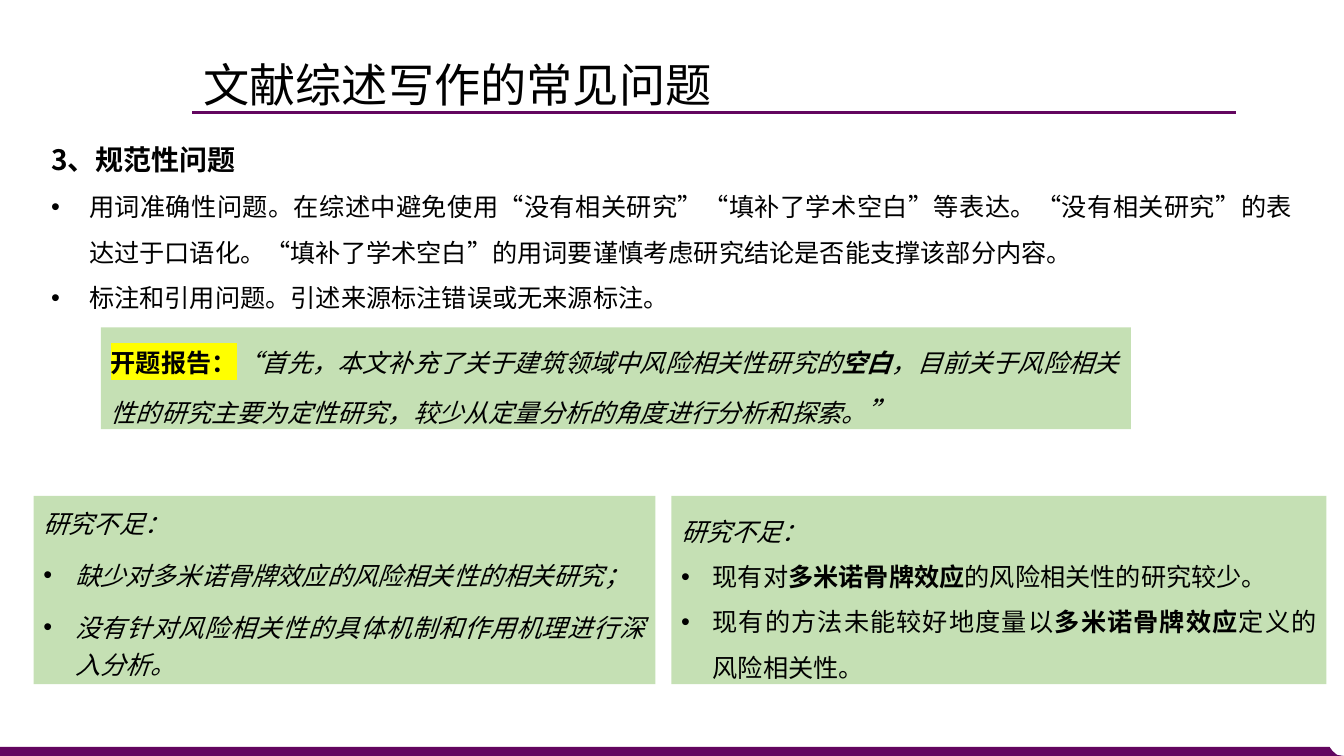
"""Build a slide on common problems in literature review writing."""
import pptx
import pptx.util
import pptx.dml.color
import pptx.enum.dml
import pptx.enum.lang
import pptx.enum.shapes
import pptx.enum.text
from lxml import etree
from pptx.oxml.ns import qn

Pt = pptx.util.Pt
COLOURS = {"purple": "63065F", "green": "C5E0B4", "black": "000000", "yellow": "FFFF00"}
FONT = "Noto Sans CJK SC"
PLAIN = {}
BOLD = {"bold": True}
ITALIC = {"italic": True}
BOLD_ITALIC = {"bold": True, "italic": True}


def colour(name):
    return pptx.dml.color.RGBColor.from_string(COLOURS[name])


def apply_formats(target, formats):
    for name, value in formats.items():
        setattr(target, name, value)


def add_span(para, text, formats, size, highlight=None):
    span = para.add_run()
    span.text = text
    span.font.color.rgb = colour("black")
    properties = span.font._element
    if highlight:
        mark = etree.SubElement(properties, qn("a:highlight"))
        etree.SubElement(mark, qn("a:srgbClr"), val=COLOURS[highlight])
    language = pptx.enum.lang.MSO_LANGUAGE_ID.SIMPLIFIED_CHINESE
    apply_formats(span.font, {"name": FONT, "size": Pt(size), "language_id": language, **formats})
    etree.SubElement(properties, qn("a:ea"), typeface=FONT)


def add_bullet(para, indent):
    properties = para._p.get_or_add_pPr()
    properties.set("marL", str(Pt(indent)))
    properties.set("indent", str(-Pt(indent)))
    etree.SubElement(properties, qn("a:buFont"), typeface="Arial")
    etree.SubElement(properties, qn("a:buChar"), char="•")


def fill_text(shape, paragraphs):
    """Write (spans, paragraph formats, bullet indent) entries into a shape."""
    frame = shape.text_frame
    apply_formats(frame, {
        "word_wrap": True,
        "auto_size": pptx.enum.text.MSO_AUTO_SIZE.SHAPE_TO_FIT_TEXT,
        "vertical_anchor": pptx.enum.text.MSO_ANCHOR.TOP,
    })
    for index, (spans, formats, indent) in enumerate(paragraphs):
        para = frame.add_paragraph() if index else frame.paragraphs[0]
        apply_formats(para, {"alignment": pptx.enum.text.PP_ALIGN.LEFT, **formats})
        if indent:
            add_bullet(para, indent)
        for span in spans:
            add_span(para, *span)


def add_text(page, position, paragraphs):
    fill_text(page.shapes.add_textbox(*map(Pt, position)), paragraphs)


def add_panel(page, position, paragraphs):
    kind = pptx.enum.shapes.MSO_SHAPE.RECTANGLE
    box = page.shapes.add_shape(kind, *map(Pt, position))
    box.shadow.inherit = False
    box.fill.solid()
    box.fill.fore_color.rgb = colour("green")
    box.line.fill.background()
    fill_text(box, paragraphs)


def add_footer_band(page):
    points = [(949.7, 533.5), (951.8, 536.4), (955, 539.2), (960, 540), (0, 540)]
    builder = page.shapes.build_freeform(0, Pt(533.5))
    builder.add_line_segments([(Pt(x), Pt(y)) for x, y in points], close=True)
    band = builder.convert_to_shape()
    band.shadow.inherit = False
    band.fill.solid()
    band.fill.fore_color.rgb = colour("purple")
    band.line.fill.background()


def add_title_rule(page):
    kind = pptx.enum.shapes.MSO_CONNECTOR.STRAIGHT
    rule = page.shapes.add_connector(kind, Pt(137.5), Pt(80.6), Pt(882.7), Pt(80.6))
    rule.line.color.rgb = colour("purple")
    rule.line.width = Pt(2.25)
    etree.SubElement(rule._element.spPr, qn("a:effectLst"))


def main():
    deck = pptx.Presentation()
    apply_formats(deck, {"slide_width": Pt(960), "slide_height": Pt(540)})
    page = deck.slides.add_slide(deck.slide_layouts[6])
    justify = {"alignment": pptx.enum.text.PP_ALIGN.JUSTIFY}
    loose = {"line_spacing": 1.5}
    tight = {"line_spacing": 1.25}
    loose_justified = {**loose, **justify}
    tight_justified = {**tight, **justify}
    spaced = {**tight_justified, "space_before": Pt(10), "space_after": Pt(10)}
    heading = [("研究不足：", ITALIC, 18)]
    effect = ("多米诺骨牌效应", BOLD, 18)

    add_footer_band(page)
    add_title_rule(page)
    add_text(page, (138.2, 36.7, 401.8, 47.5), [([("文献综述写作的常见问题", PLAIN, 33)], {}, 0)])
    add_text(page, (29.5, 86.4, 901.4, 138.2), [
        ([("3、规范性问题", BOLD, 20)], loose_justified, 0),
        ([("用词准确性问题。在综述中避免使用“没有相关研究”“填补了学术空白”等表达。"
           "“没有相关研究”的表达过于口语化。“填补了学术空白”的用词要谨慎考虑"
           "研究结论是否能支撑该部分内容。", PLAIN, 18)], loose_justified, 27),
        ([("标注和引用问题。引述来源标注错误或无来源标注。", PLAIN, 18)], loose_justified, 27),
    ])
    add_panel(page, (72, 233.8, 735.8, 72.7), [([
        ("开题报告：", BOLD, 18, "yellow"),
        ("“首先，本文补充了关于建筑领域中风险相关性研究的", ITALIC, 18),
        ("空白", BOLD_ITALIC, 18),
        ("，目前关于风险相关性的研究主要为定性研究，"
         "较少从定量分析的角度进行分析和探索。", ITALIC, 18),
        ("”", ITALIC, 20),
    ], loose, 0)])
    add_panel(page, (24, 354.2, 444.2, 134.6), [
        (heading, tight, 0),
        ([("缺少对多米诺骨牌效应的风险相关性的相关研究；", ITALIC, 18)], spaced, 22.5),
        ([("没有针对风险相关性的具体机制和作用机理进行深入分析。", ITALIC, 18)],
         tight_justified, 22.5),
    ])
    add_panel(page, (479.5, 354.2, 468, 134.6), [
        (heading, loose, 0),
        ([("现有对", PLAIN, 18), effect, ("的风险相关性的研究较少。", PLAIN, 18)],
         loose_justified, 22.5),
        ([("现有的方法未能较好地度量以", PLAIN, 18), effect, ("定义的风险相关性。", PLAIN, 18)],
         loose_justified, 22.5),
    ])
    deck.save("out.pptx")


if __name__ == "__main__":
    main()
